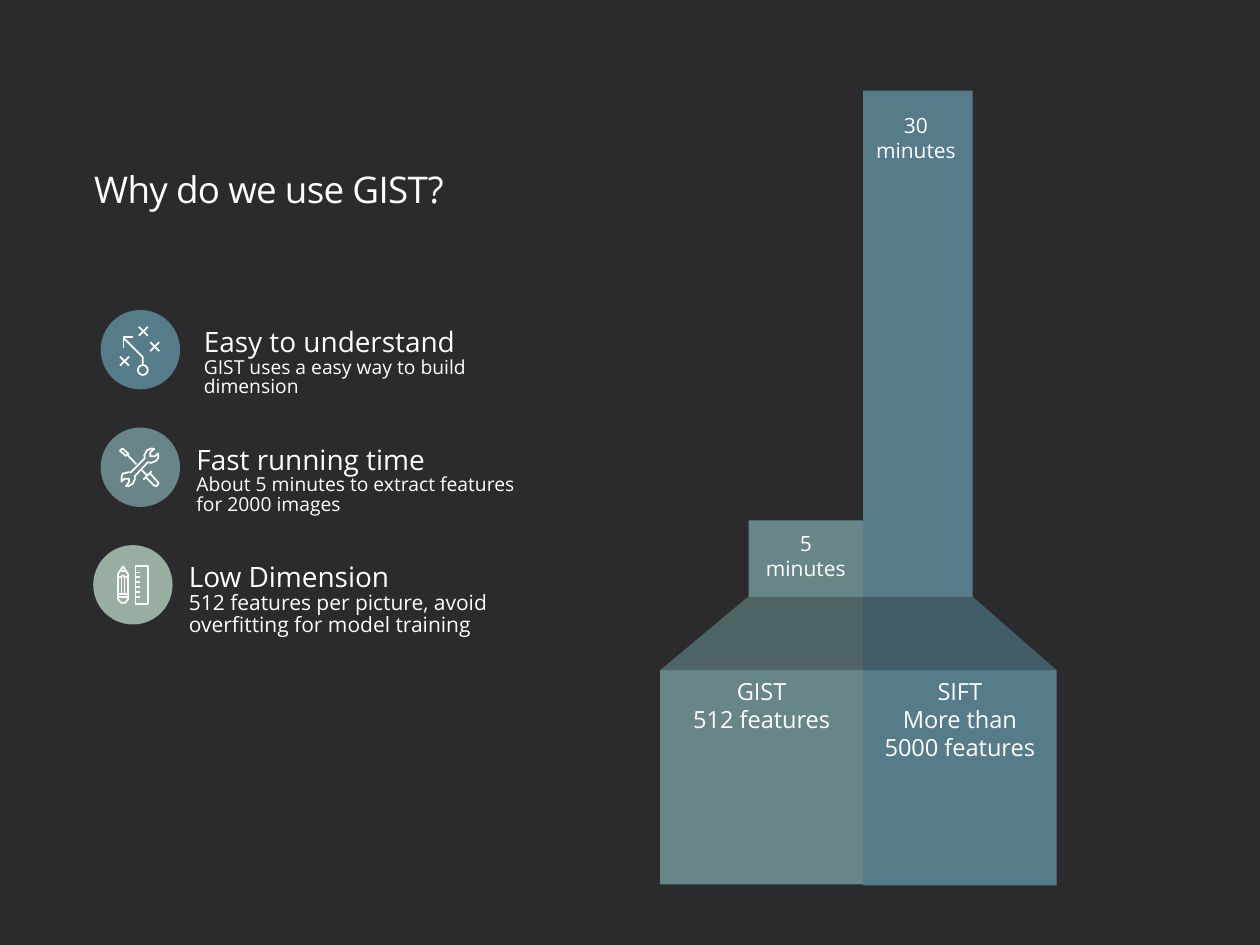
"""Build the slide that compares GIST and SIFT features."""
from dataclasses import dataclass
from math import cos, pi, sin

from lxml.etree import SubElement
from pptx import Presentation
from pptx.dml.color import RGBColor as Rgb
from pptx.enum.shapes import MSO_SHAPE as Shape
from pptx.enum.text import MSO_ANCHOR as Anchor, PP_ALIGN as Align
from pptx.oxml.ns import qn
from pptx.util import Cm, Pt


@dataclass(frozen=True)
class Theme:
    font: str = "Open Sans"
    background: str = "2B2B2D"
    white: str = "FFFFFF"
    blue: str = "567C8A"
    dark_blue: str = "415D67"
    green: str = "688687"
    dark_green: str = "4E6465"
    sage: str = "97AEA0"
    title: float = 21
    heading: float = 16
    feature: float = 13.5
    body: float = 12
    small: float = 11


theme = Theme()


def paint(shape, color):
    shape.fill.solid()
    shape.fill.fore_color.rgb = Rgb.from_string(color)
    shape.line.fill.background()
    shape.shadow.inherit = False


def write(shape, lines, margins, anchor=Anchor.TOP, align=Align.LEFT, spacing=None):
    frame = shape.text_frame
    frame.word_wrap = True
    frame.vertical_anchor = anchor
    frame.margin_left = frame.margin_right = Cm(margins[0])
    frame.margin_top = frame.margin_bottom = Cm(margins[1])
    for index, (text, size) in enumerate(lines):
        paragraph = frame.add_paragraph() if index else frame.paragraphs[0]
        paragraph.add_run().text = text
        paragraph.alignment = align
        paragraph.line_spacing = spacing
        paragraph.font.name = theme.font
        paragraph.font.size = Pt(size)
        paragraph.font.color.rgb = Rgb.from_string(theme.white)


presentation = Presentation()
presentation.slide_width, presentation.slide_height = Cm(25.4), Cm(19.05)
slide = presentation.slides.add_slide(presentation.slide_layouts[6])
slide.background.fill.solid()
slide.background.fill.fore_color.rgb = Rgb.from_string(theme.background)
shapes = slide.shapes

title = shapes.add_textbox(Cm(1.9), Cm(3.02), Cm(21.6), Cm(1.7))
write(title, [("Why do we use GIST?", theme.title)], (0, 0), Anchor.MIDDLE, spacing=0.86)
title.text_frame.paragraphs[0].runs[0].font._element.set("spc", "-40")

middle, roof, floor = 17.4, 12.04, 13.51
bars = [
    (15.09, 10.49, 2.31, roof - 10.49, theme.green, []),
    (middle, 1.83, 2.21, roof - 1.83, theme.blue, []),
    (13.31, floor, middle - 13.31, 4.32, theme.green, ["GIST", "512 features"]),
    (middle, floor, 3.9, 4.34, theme.blue, ["SIFT", "More than 5000 features"]),
]
for left, top, width, height, color, lines in bars:
    bar = shapes.add_shape(Shape.RECTANGLE, Cm(left), Cm(top), Cm(width), Cm(height))
    paint(bar, color)
    if lines:
        write(bar, [(line, theme.feature) for line in lines], (0.25, 0.13), align=Align.CENTER)

for top_edge, bottom_edge, color in [(15.07, 13.31, theme.dark_green), (19.62, 21.3, theme.dark_blue)]:
    corners = [(middle, roof), (middle, floor), (bottom_edge, floor), (top_edge, roof)]
    points = [(x * 100, y * 100) for x, y in corners]
    builder = shapes.build_freeform(*points[0], scale=Cm(0.01))
    builder.add_line_segments(points[1:])
    paint(builder.convert_to_shape(0, 0), color)

for left, top, width, lines in [(15.42, 10.69, 1.65, ["5 minutes"]), (17.6, 2.26, 1.73, ["30", "minutes"])]:
    label = shapes.add_textbox(Cm(left), Cm(top), Cm(width), Cm(1.02))
    write(label, [(line, theme.body) for line in lines], (0, 0), Anchor.MIDDLE, Align.CENTER)

route_icon = [
    [(5, 30), (5, 15), (-34, -24)],
    [(-34, -4), (-34, -25), (-14, -25)],
    [(5 + 10 * cos(k * pi / 8), 41 + 10 * sin(k * pi / 8)) for k in range(17)],
]
for x, y in [(-32, 23), (29, -6), (6, -37)]:
    route_icon += [[(x - 9, y - 9), (x + 9, y + 9)], [(x - 9, y + 9), (x + 9, y - 9)]]
tools_icon = [
    [(-19, 10), (9, -18), (8, -24), (13, -34), (22, -38), (28, -37), (20, -30), (20, -22), (29, -22),
     (36, -28), (36, -19), (32, -13), (22, -9), (15, -10), (-11, 18), (-11, 24), (-15, 33), (-24, 38),
     (-29, 38), (-23, 30), (-23, 23), (-32, 23), (-38, 29), (-38, 22), (-36, 13), (-24, 10), (-19, 10)],
    [(-41, -33), (-36, -38), (-24, -27), (-29, -23), (-41, -33)],
    [(-26, -25), (-8, -6)],
    [(1, 4), (14, 17)],
    [(6, 25), (23, 8)],
    [(11, 20), (28, 37), (33, 38), (37, 32), (20, 13)],
]
pencil_icon = [
    [(-30, -22), (-20, -37), (-10, -22), (-10, 29), (-15, 36), (-24, 36), (-30, 29), (-30, -22)],
    [(-30, -17), (-25, -15), (-20, -19), (-15, -15), (-10, -17)],
    [(-24, -28), (-16, -28)],
    [(5, -38), (31, -38), (31, 38), (5, 38), (5, -38)],
]
pencil_icon += [[(-30, y), (-10, y)] for y in (18, 25)]
pencil_icon += [[(x, -15), (x, 18)] for x in (-23, -17)]
pencil_icon += [[(5, y), (14, y)] for y in range(-25, 26, 10)]

diameter = 1.6
reasons = [
    (2.03, theme.blue, route_icon, "Easy to understand",
     "GIST uses a easy way to build dimension", theme.small),
    (2.03, theme.green, tools_icon, "Fast running time",
     "About 5 minutes to extract features for 2000 images", theme.small),
    (1.88, theme.sage, pencil_icon, "Low Dimension",
     "512 features per picture, avoid overfitting for model training", theme.body),
]
for row, (left, color, strokes, heading, detail, size) in enumerate(reasons):
    top = 6.25 + 2.37 * row
    circle = shapes.add_shape(Shape.OVAL, Cm(left), Cm(top), Cm(diameter), Cm(diameter))
    paint(circle, color)

    builder = shapes.build_freeform(*strokes[0][0], scale=Cm(0.01))
    for stroke in strokes:
        builder.move_to(*stroke[0])
        builder.add_line_segments(stroke[1:], close=False)
    icon = builder.convert_to_shape(Cm(left + diameter / 2), Cm(top + diameter / 2))
    icon.fill.background()
    icon.line.color.rgb = Rgb.from_string(theme.white)
    icon.line.width = Pt(1)
    SubElement(icon._element.spPr, qn("a:effectLst"))

    reason = shapes.add_textbox(Cm(4.11 - 0.15 * row), Cm(top + 0.27), Cm(6.43), Cm(1.63))
    write(reason, [(heading, theme.heading), (detail, size)], (0, 0.13), spacing=0.85)

presentation.save("out.pptx")
